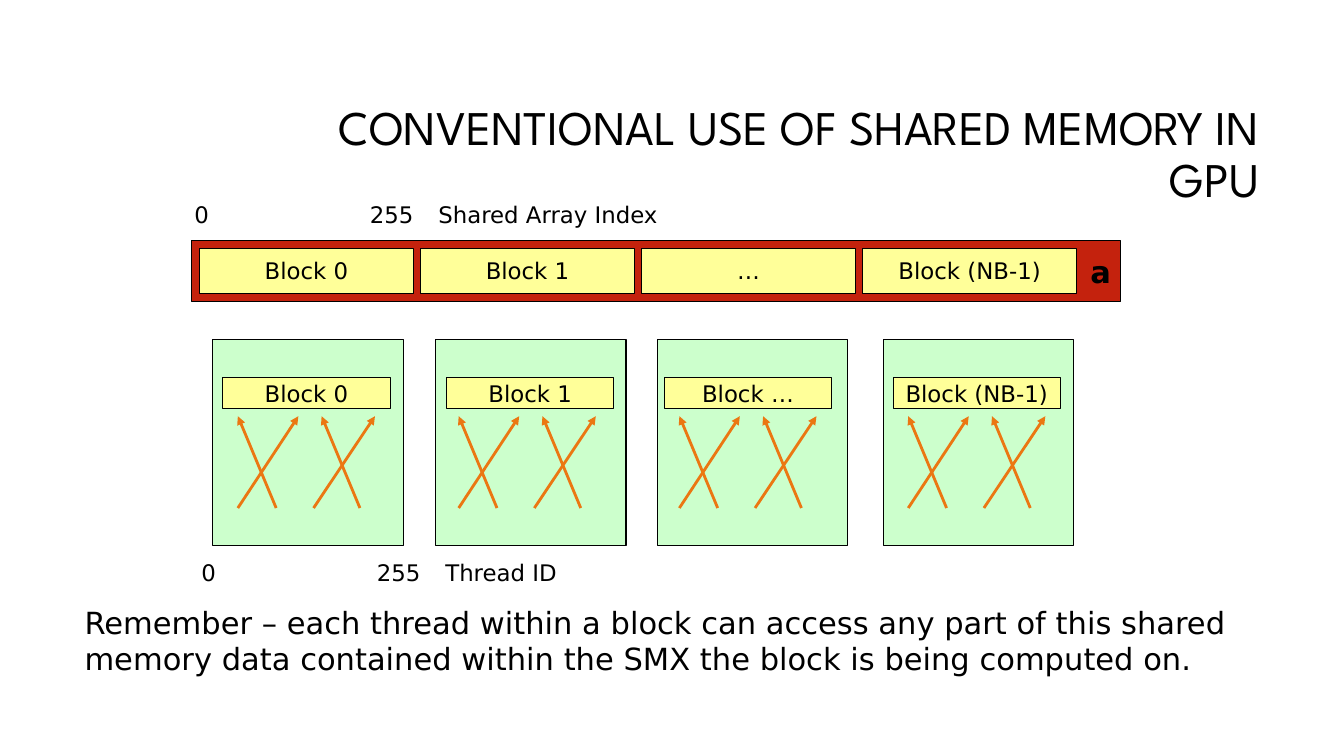
from lxml.etree import SubElement
from pptx import Presentation
from pptx.dml.color import RGBColor
from pptx.enum.shapes import MSO_CONNECTOR, MSO_SHAPE
from pptx.enum.text import MSO_ANCHOR, MSO_AUTO_SIZE, PP_ALIGN
from pptx.oxml.ns import qn
from pptx.util import Inches, Pt

COLORS = {"ink": "000000", "memory": "C4220D", "data": "FFFF99",
          "block": "CCFFCC", "access": "EB7712"}
BODY_FONT, TITLE_FONT = "DejaVu Sans", "League Spartan"
WIDTH, HEIGHT = Inches(13.33), Inches(7.5)
LABEL_SIZE, LARGE_SIZE = 16.3, 21.8

# All boxes are (left, top, width, height) in percent of the slide's size.
TITLE_BOX = (23.78, 11.2, 70.65, 18.8)
MEMORY_BOX = (14.25, 31.87, 69.15, 8)
REMINDER_BOX = (5.55, 79.2, 90.08, 11.07)
SLOTS = ["Block 0", "Block 1", "…", "Block (NB-1)"]
# Left edge, data label, label offset, arrows offset
BLOCKS = [(15.83, "Block 0", 0.75, 1.87), (32.4, "Block 1", 0.83, 1.73),
          (48.9, "Block …", 0.53, 1.65), (65.7, "Block (NB-1)", 0.75, 1.88)]
# Thread position and the array position it accesses
ACCESSES = [(2.85, 0), (5.63, 10.2), (9.08, 6.23), (0, 4.5)]


def across(share):
    return round(WIDTH * share / 100)


def down(share):
    return round(HEIGHT * share / 100)


def to_emu(box):
    left, top, width, height = box
    return across(left), down(top), across(width), down(height)


def color(name):
    return RGBColor.from_string(COLORS[name])


def write(frame, text, size=LABEL_SIZE, font=BODY_FONT, bold=False,
          align=PP_ALIGN.LEFT, anchor=MSO_ANCHOR.TOP, wrap=True, spacing=None):
    frame.word_wrap = wrap
    frame.auto_size = MSO_AUTO_SIZE.NONE
    frame.vertical_anchor = anchor
    paragraph = frame.paragraphs[0]
    paragraph.alignment = align
    paragraph.line_spacing = spacing
    run = paragraph.add_run()
    run.text = text
    run.font.size, run.font.name, run.font.bold = Pt(size), font, bold
    run.font.color.rgb = color("ink")


def add_rectangle(slide, box, fill, text=None, align=PP_ALIGN.CENTER, **style):
    rectangle = slide.shapes.add_shape(MSO_SHAPE.RECTANGLE, *to_emu(box))
    rectangle.shadow.inherit = False
    rectangle.fill.solid()
    rectangle.fill.fore_color.rgb = color(fill)
    rectangle.line.color.rgb = color("ink")
    rectangle.line.width = Pt(0.75)
    if text:
        write(rectangle.text_frame, text, align=align,
              anchor=MSO_ANCHOR.MIDDLE, wrap=False, **style)


def add_label(slide, box, text, **style):
    write(slide.shapes.add_textbox(*to_emu(box)).text_frame, text, **style)


def add_access(slide, start, end):
    arrow = slide.shapes.add_connector(
        MSO_CONNECTOR.STRAIGHT, across(start[0]), down(start[1]),
        across(end[0]), down(end[1]))
    arrow.line.color.rgb = color("access")
    arrow.line.width = Pt(2)
    SubElement(arrow.line._get_or_add_ln(), qn("a:tailEnd"), type="triangle")
    SubElement(arrow._element.spPr, qn("a:effectLst"))


def add_title(slide, box):
    title = slide.shapes.title
    title.left, title.top, title.width, title.height = to_emu(box)
    write(title.text_frame, "CONVENTIONAL USE OF SHARED MEMORY IN GPU",
          size=34.5, font=TITLE_FONT, align=PP_ALIGN.RIGHT,
          anchor=MSO_ANCHOR.MIDDLE, spacing=0.9)


def add_shared_memory(slide, box):
    add_rectangle(slide, box, "memory", "a", align=PP_ALIGN.RIGHT,
                  size=LARGE_SIZE, bold=True)
    left, top = box[:2]
    for column, label in enumerate(SLOTS):
        slot = (left + 0.6 + column * 16.45, top + 0.95, 15.9, 6)
        add_rectangle(slide, slot, "data", label)


def add_thread_block(slide, box, label, label_offset, access_offset):
    left, top = box[:2]
    add_rectangle(slide, box, "block")
    add_rectangle(slide, (left + label_offset, top + 5.07, 12.45, 4), "data", label)
    origin = left + access_offset
    for thread, target in ACCESSES:
        add_access(slide, (origin + thread, top + 22.27),
                   (origin + target, top + 10.13))


def add_index_row(slide, left, top, caption):
    for offset, width, text in [(0, 3.45, "0"), (13.05, 5.1, "255"),
                                (18.15, 28.95, caption)]:
        add_label(slide, (left + offset, top, width, 5.07), text)


def main():
    deck = Presentation()
    deck.slide_width, deck.slide_height = WIDTH, HEIGHT
    slide = deck.slides.add_slide(deck.slide_layouts[5])

    add_title(slide, TITLE_BOX)
    # Shared array with its index range
    add_shared_memory(slide, MEMORY_BOX)
    add_index_row(slide, 13.73, 25.87, "Shared Array Index")
    # Thread blocks with their thread range
    for left, *parts in BLOCKS:
        add_thread_block(slide, (left, 44.93, 14.18, 27.2), *parts)
    add_index_row(slide, 14.25, 73.2, "Thread ID")
    # Closing reminder
    add_label(slide, REMINDER_BOX,
              "Remember – each thread within a block can access any part of this "
              "shared memory data contained within the SMX the block is being "
              "computed on.", size=LARGE_SIZE)
    deck.save("out.pptx")


if __name__ == "__main__":
    main()
